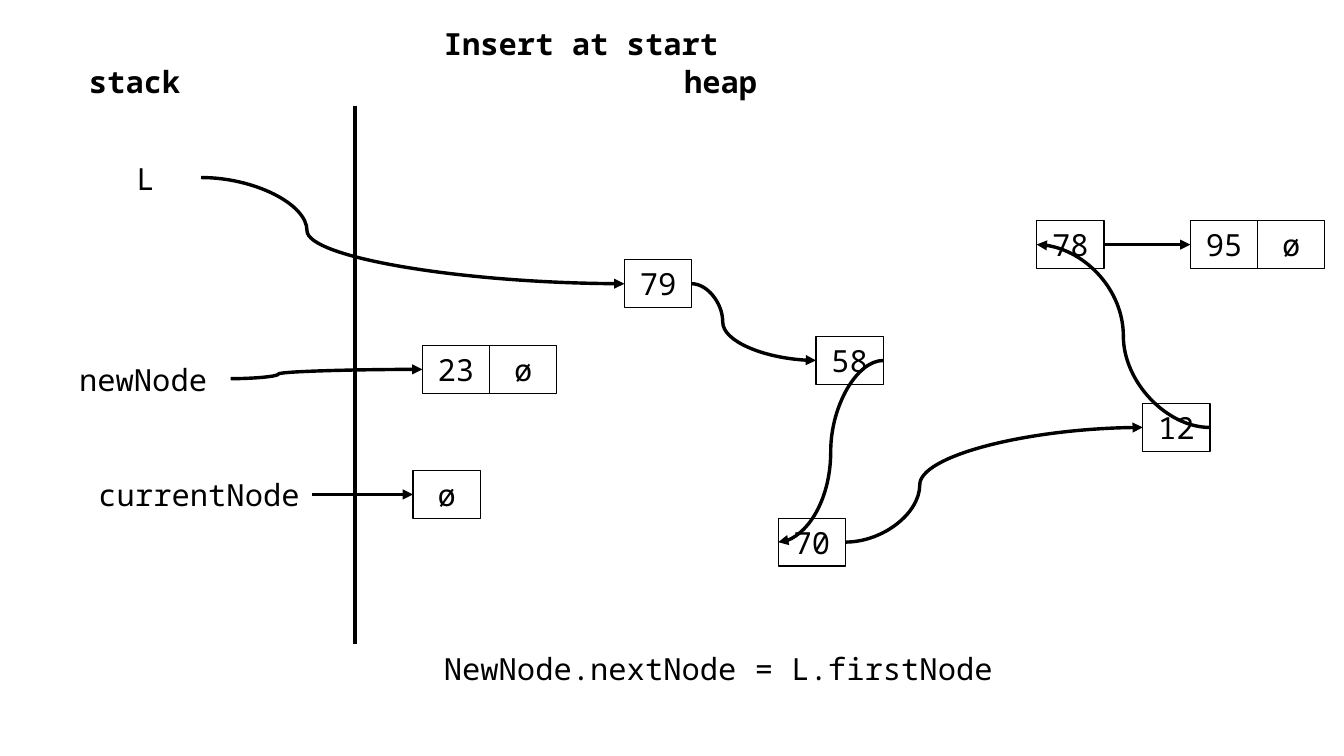
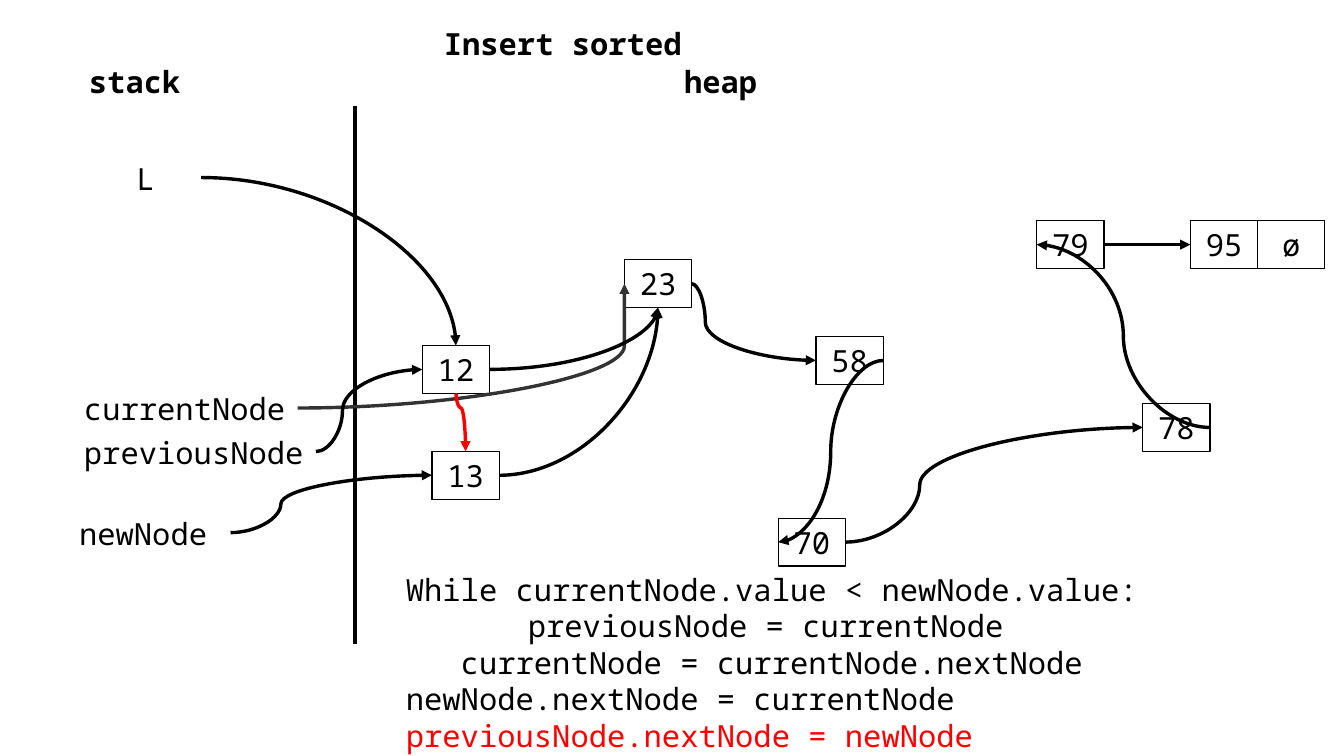
from dataclasses import dataclass
from itertools import pairwise

from lxml import etree
from pptx import Presentation
from pptx import util as u
from pptx.dml.color import RGBColor
from pptx.enum import shapes, text
from pptx.oxml.ns import qn

TOP, LEFT, BOTTOM, RIGHT = range(4)


@dataclass(frozen=True)
class Theme:
    ink: str = "000000"
    soft: str = "333333"
    accent: str = "FF0000"
    font: str = "Noto Sans Mono"
    size: float = 18
    line: float = 0


THEME = Theme()
NODE_WIDTH, NODE_HEIGHT = 39.7, 28.3
HEAP_PLACES = [(368.6, 153.4), (481.7, 198.7), (459.4, 306),
               (674.6, 238.3), (612, 130.3), (702.7, 130.3)]


def write(frame, words, color=THEME.ink, bold=False, indent=0, align=None, first=True):
    """Put one paragraph in a text frame, after the others unless it is the first."""
    para = frame.paragraphs[0] if first else frame.add_paragraph()
    if align is not None:
        para.alignment = align
    if indent:
        para._p.get_or_add_pPr().set("marL", str(u.Pt(indent)))
    span = para.add_run()
    span.text = words
    span.font.name = THEME.font
    span.font.size = u.Pt(THEME.size)
    span.font.bold = bold
    span.font.color.rgb = RGBColor.from_string(color)


def side(box, index):
    """Middle of a side of a box, in points."""
    across = {LEFT: 0, RIGHT: 1}.get(index, 0.5)
    down = {TOP: 0, BOTTOM: 1}.get(index, 0.5)
    return (box.left + box.width * across) / 12700, (box.top + box.height * down) / 12700


class Sketch:
    """Draws memory diagrams, one slide at a time."""

    def __init__(self, deck, theme):
        self.deck, self.theme, self.slide = deck, theme, None

    def new_slide(self, title):
        self.slide = self.deck.slides.add_slide(self.deck.slide_layouts[6])
        self.label(title, 254.9, 11.5, 238.3, bold=True)
        self.label("stack", 45.4, 33.8, 102.2, bold=True)
        self.label("heap", 396.7, 33.8, 102.2, bold=True)
        self.connector(shapes.MSO_CONNECTOR.STRAIGHT, (209.5, 62.6), (209.5, 380.2))

    def text_area(self, left, top, width, height):
        box = self.slide.shapes.add_textbox(u.Pt(left), u.Pt(top), u.Pt(width), u.Pt(height))
        box.text_frame.word_wrap = True
        return box

    def label(self, words, left, top, width, height=NODE_HEIGHT, **style):
        box = self.text_area(left, top, width, height)
        write(box.text_frame, words, **style)
        return box

    def code(self, lines, left, top, width, height):
        frame = self.text_area(left, top, width, height).text_frame
        for number, (words, style) in enumerate(lines):
            write(frame, words, first=number == 0, **style)

    def node(self, value, left, top):
        box = self.slide.shapes.add_shape(
            shapes.MSO_SHAPE.RECTANGLE, u.Pt(left), u.Pt(top),
            u.Pt(NODE_WIDTH), u.Pt(NODE_HEIGHT))
        box.shadow.inherit = False
        box.fill.background()
        box.line.color.rgb = RGBColor.from_string(self.theme.ink)
        box.line.width = u.Pt(self.theme.line)
        box.text_frame.word_wrap = True
        box.text_frame.vertical_anchor = text.MSO_ANCHOR.MIDDLE
        write(box.text_frame, value, align=text.PP_ALIGN.CENTER)
        return box

    def connector(self, kind, start, end, color=None, arrow=False):
        line = self.slide.shapes.add_connector(kind, *(u.Pt(n) for n in (*start, *end)))
        line.line.color.rgb = RGBColor.from_string(color or self.theme.ink)
        line.line.width = u.Pt(self.theme.line)
        if arrow:
            etree.SubElement(line.line._get_or_add_ln(), qn("a:tailEnd"), type="triangle")
        etree.SubElement(line._element.spPr, qn("a:effectLst"))
        return line

    def arrow(self, source, target):
        line = self.connector(shapes.MSO_CONNECTOR.STRAIGHT, side(source, RIGHT),
                              side(target, LEFT), arrow=True)
        line.begin_connect(source, RIGHT)
        line.end_connect(target, LEFT)

    def curve(self, source, target, leave=RIGHT, enter=LEFT, bend=0.25, color=None):
        """S-curve between like sides, or a quarter turn from a side to a top or bottom."""
        start, end = side(source, leave), side(target, enter)
        upright = leave in (TOP, BOTTOM)
        if upright:
            middle_x, middle_y = (start[0] + end[0]) / 2, (start[1] + end[1]) / 2
            half_x, half_y = (end[0] - start[0]) / 2, (end[1] - start[1]) / 2
            start = middle_x + half_y, middle_y - half_x
            end = middle_x - half_y, middle_y + half_x
        line = self.connector(shapes.MSO_CONNECTOR.CURVE, start, end, color, arrow=True)
        properties = line._element.spPr
        if upright:
            properties.find(qn("a:xfrm")).set("rot", str(270 * 60000))
        geometry = properties.find(qn("a:prstGeom"))
        if upright or enter in (LEFT, RIGHT):
            etree.SubElement(geometry.get_or_add_avLst(), qn("a:gd"),
                             name="adj1", fmla=f"val {round(bend * 100000)}")
        else:
            geometry.set("prst", "curvedConnector2")

    def linked_list(self, values, first_bend=0.25):
        """Draw the chain in the heap and return its first node."""
        nodes = [self.node(value, *place) for value, place in zip(values, HEAP_PLACES)]
        last_left, last_top = HEAP_PLACES[-1]
        self.node("ø", last_left + NODE_WIDTH, last_top)
        for (source, target), bend in zip(pairwise(nodes[:-1]), (first_bend, 0.5, 0.25, 0.5)):
            self.curve(source, target, bend=bend)
        self.arrow(*nodes[-2:])
        return nodes[0]


def insert_at_start(sketch):
    sketch.new_slide("Insert at start")
    first = sketch.linked_list(["79", "58", "70", "12", "78", "95"])
    sketch.curve(sketch.label("L", 73.4, 90.7, 45.4), first)
    new_node = sketch.node("23", 249.3, 204)
    sketch.node("ø", 249.3 + NODE_WIDTH, 204)
    sketch.curve(sketch.label("newNode", 39.6, 209.5, 96.5), new_node)
    sketch.arrow(sketch.label("currentNode", 51, 277.8, 133.2),
                 sketch.node("ø", 243.8, 277.8))
    sketch.label("NewNode.nextNode = L.firstNode", 254.9, 380.2, 420, 49.6)


def insert_sorted(sketch):
    sketch.new_slide("Insert sorted")
    current = sketch.linked_list(["23", "58", "70", "78", "79", "95"], first_bend=0.11)
    previous = sketch.node("12", 249.3, 204)
    new_node = sketch.node("13", 255, 266.5)
    sketch.curve(sketch.label("L", 73.4, 90.7, 45.4), previous, enter=TOP)
    sketch.curve(sketch.label("newNode", 39.6, 300.4, 96.5), new_node)
    sketch.curve(sketch.label("currentNode", 42.5, 226.8, 133.2), current,
                 bend=1, color=THEME.soft)
    sketch.curve(sketch.label("previousNode", 42.5, 252.5, 144), previous)
    for node in (previous, new_node):
        sketch.curve(node, current, enter=BOTTOM)
    sketch.curve(previous, new_node, leave=BOTTOM, enter=TOP, color=THEME.accent)
    sketch.code([
        ("While currentNode.value < newNode.value:", {}),
        ("previousNode = currentNode", {"indent": 72}),
        ("currentNode = currentNode.nextNode", {"indent": 32.4}),
        ("newNode.nextNode = currentNode", {}),
        ("previousNode.nextNode = newNode", {"color": THEME.accent}),
    ], 232.5, 333.4, 561, 113)


def main():
    deck = Presentation()
    deck.slide_width, deck.slide_height = u.Pt(793.4), u.Pt(446.4)
    sketch = Sketch(deck, THEME)
    insert_at_start(sketch)
    insert_sorted(sketch)
    deck.save("out.pptx")


if __name__ == "__main__":
    main()
